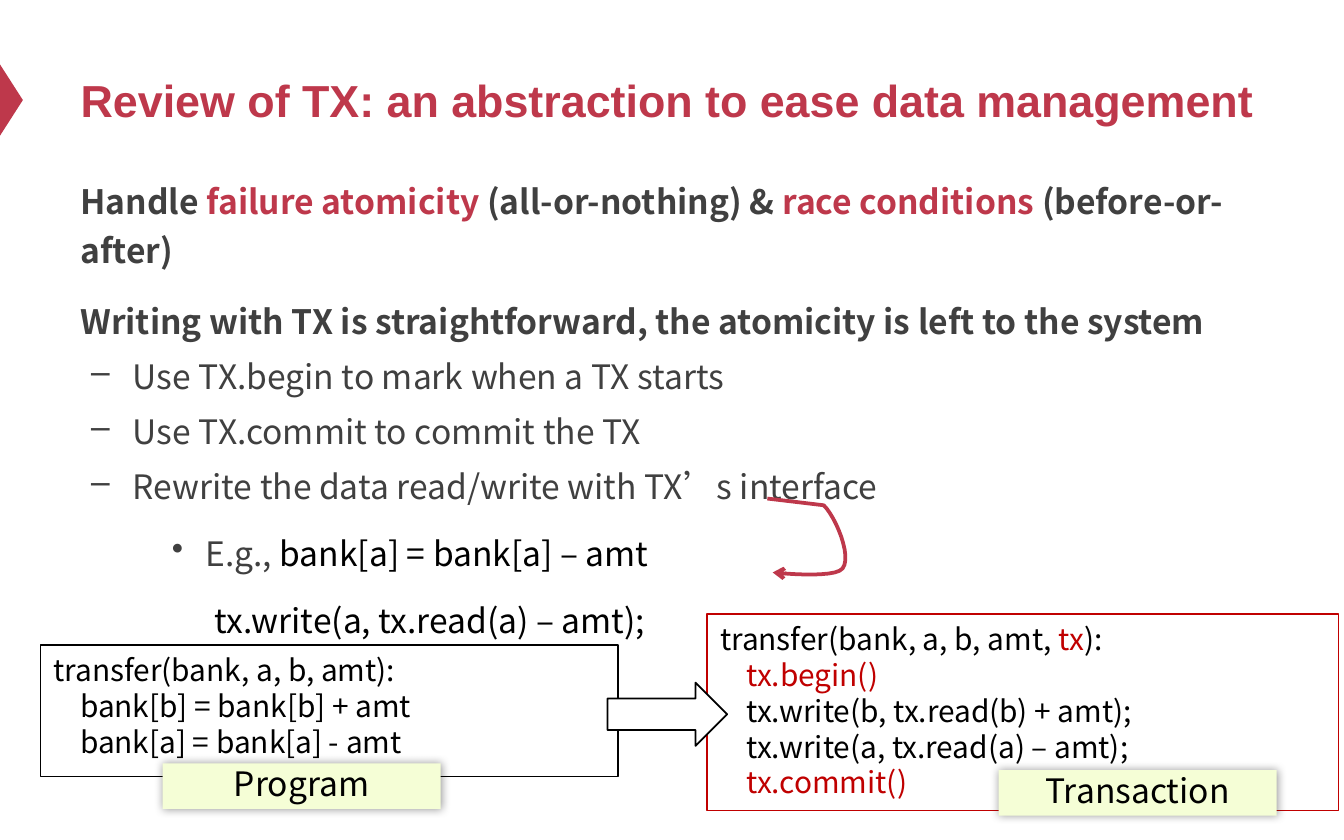
"""Build the slide that reviews transactions as a data management abstraction."""
from lxml import etree
from pptx import Presentation
from pptx.dml.color import RGBColor
from pptx.enum.shapes import MSO_SHAPE
from pptx.enum.text import MSO_ANCHOR, PP_ALIGN
from pptx.oxml import parse_xml
from pptx.oxml.ns import nsdecls, qn
from pptx.util import Inches, Pt

COLORS = {"accent": "BE384B", "body": "404040", "code": "000000",
          "change": "C00000", "paper": "FFFFFF", "label": "F5FED6"}
FONT = "Noto Sans CJK SC"


def add_block(kind, place, fill=None, line=None, width=0.75):
    shape = page.shapes.add_shape(kind, *[Inches(n) for n in place])
    shape.shadow.inherit = False
    if fill:
        shape.fill.solid()
        shape.fill.fore_color.rgb = RGBColor.from_string(COLORS[fill])
    else:
        shape.fill.background()
    if line:
        shape.line.color.rgb = RGBColor.from_string(COLORS[line])
        shape.line.width = Pt(width)
    else:
        shape.line.fill.background()
    return shape


def write_para(para, spans, size, bold=False, font=FONT):
    para.font.name = font
    para.font.size = Pt(size)
    para.font.bold = bold
    para.font.color.rgb = RGBColor.from_string(COLORS[spans[0][1]])
    for text, color in spans:
        span = para.add_run()
        span.text = text
        if color != spans[0][1]:
            span.font.color.rgb = RGBColor.from_string(COLORS[color])


deck = Presentation()
deck.slide_width, deck.slide_height = Inches(10), Inches(6.25)
page = deck.slides.add_slide(deck.slide_layouts[5])

marker = add_block(MSO_SHAPE.ISOSCELES_TRIANGLE, (-0.18, 0.66, 0.53, 0.17), "accent")
marker.rotation = 90

title = page.shapes.title
title.left, title.top, title.width, title.height = [Inches(n) for n in (0.5, 0.25, 9, 0.98)]
title.text_frame.vertical_anchor = MSO_ANCHOR.MIDDLE
title_para = title.text_frame.paragraphs[0]
title_para.alignment = PP_ALIGN.LEFT
write_para(title_para, [("Review of TX: an abstraction to ease data management", "accent")],
           24, True, "Arial")

HEAD = (0, 0, 0, None, 1.2, 12)
DASH = (1, 0.39, -0.31, "–", 1.2, 3.6)
DOT = (2, 0.93, -0.25, "•", 1.5, 3.6)
PLAIN = (2, 1, 0, None, 1.5, 3.6)
points = [
    (HEAD, [("Handle ", "body"), ("failure atomicity", "accent"),
            (" (all-or-nothing) & ", "body"), ("race conditions ", "accent"),
            ("(before-or-after)", "body")]),
    (HEAD, [("Writing with TX is straightforward, the atomicity is left to the system", "body")]),
    (DASH, [("Use TX.begin to mark when a TX starts", "body")]),
    (DASH, [("Use TX.commit to commit the TX", "body")]),
    (DASH, [("Rewrite the data read/write with TX’s interface", "body")]),
    (DOT, [("E.g., ", "body"), ("bank[a] = bank[a] – amt", "code")]),
    (PLAIN, [("tx.write(a, tx.read(a) – amt);", "code")]),
]
body = page.shapes.add_textbox(Inches(0.5), Inches(1.24), Inches(9), Inches(4.12)).text_frame
body.word_wrap = True
for index, (style, spans) in enumerate(points):
    level, margin, indent, bullet, spacing, before = style
    para = body.add_paragraph() if index else body.paragraphs[0]
    para.level = level
    para.line_spacing = spacing
    para.space_before = Pt(before if index else 0)
    properties = para._p.get_or_add_pPr()
    properties.set("marL", str(Inches(margin)))
    properties.set("indent", str(Inches(indent)))
    if bullet:
        etree.SubElement(properties, qn("a:buChar")).set("char", bullet)
    write_para(para, spans, 18, style is HEAD)

curves = [((6.13, 3.76), (6.22, 3.85), (6.34, 4.14), (6.27, 4.23)),
          ((6.27, 4.23), (6.21, 4.31), (5.75, 4.26), (5.75, 4.26))]
STEPS = 12
bend = [(6.13, 3.76)]
for curve in curves:
    for step in range(1, STEPS + 1):
        t = step / STEPS
        weights = ((1 - t) ** 3, 3 * t * (1 - t) ** 2, 3 * t ** 2 * (1 - t), t ** 3)
        bend.append([sum(w * point[axis] for w, point in zip(weights, curve))
                     for axis in (0, 1)])
builder = page.shapes.build_freeform(Inches(5.71), Inches(3.71))
builder.add_line_segments([(Inches(x), Inches(y)) for x, y in bend], close=False)
rewrite_arrow = builder.convert_to_shape()
rewrite_arrow.shadow.inherit = False
rewrite_arrow.fill.background()
rewrite_arrow.line.color.rgb = RGBColor.from_string(COLORS["accent"])
rewrite_arrow.line.width = Pt(2)
etree.SubElement(rewrite_arrow.line._get_or_add_ln(), qn("a:tailEnd")).set("type", "arrow")

listings = [
    ((0.3, 4.8, 4.3, 0.98), None, "code", [
        [("transfer(bank, a, b, amt):", "code")],
        [("    bank[b] = bank[b] + amt", "code")],
        [("    bank[a] = bank[a] - amt", "code")]]),
    ((5.26, 4.57, 4.7, 1.46), "paper", "change", [
        [("transfer(bank, a, b, amt, ", "code"), ("tx", "change"), ("):", "code")],
        [("    tx.begin()", "change")],
        [("    tx.write(b, tx.read(b) + amt);", "code")],
        [("    tx.write(a, tx.read(a) – amt);", "code")],
        [("    tx.commit()", "change")]]),
]
for place, fill, line, rows in listings:
    frame = add_block(MSO_SHAPE.RECTANGLE, place, fill, line).text_frame
    frame.word_wrap = True
    frame.vertical_anchor = MSO_ANCHOR.TOP
    for index, spans in enumerate(rows):
        para = frame.add_paragraph() if index else frame.paragraphs[0]
        para.alignment = PP_ALIGN.LEFT
        write_para(para, spans, 16)

add_block(MSO_SHAPE.RIGHT_ARROW, (4.52, 5.08, 0.89, 0.47), "paper", "code", 1)

for name, left, top in (("Program", 1.21, 5.68), ("Transaction", 7.43, 5.73)):
    label = add_block(MSO_SHAPE.RECTANGLE, (left, top, 2.07, 0.34), "label")
    effects = label._element.spPr.find(qn("a:effectLst"))
    effects.append(parse_xml(
        f'<a:outerShdw {nsdecls("a")} blurRad="{Pt(5)}" dist="0" dir="0">'
        f'<a:srgbClr val="{COLORS["code"]}"><a:alpha val="40000"/></a:srgbClr></a:outerShdw>'))
    frame = label.text_frame
    frame.margin_left = frame.margin_right = Inches(0.08)
    frame.margin_top, frame.margin_bottom = 0, Inches(0.04)
    frame.vertical_anchor = MSO_ANCHOR.TOP
    frame.paragraphs[0].alignment = PP_ALIGN.CENTER
    write_para(frame.paragraphs[0], [(name, "code")], 18)

deck.save("out.pptx")
